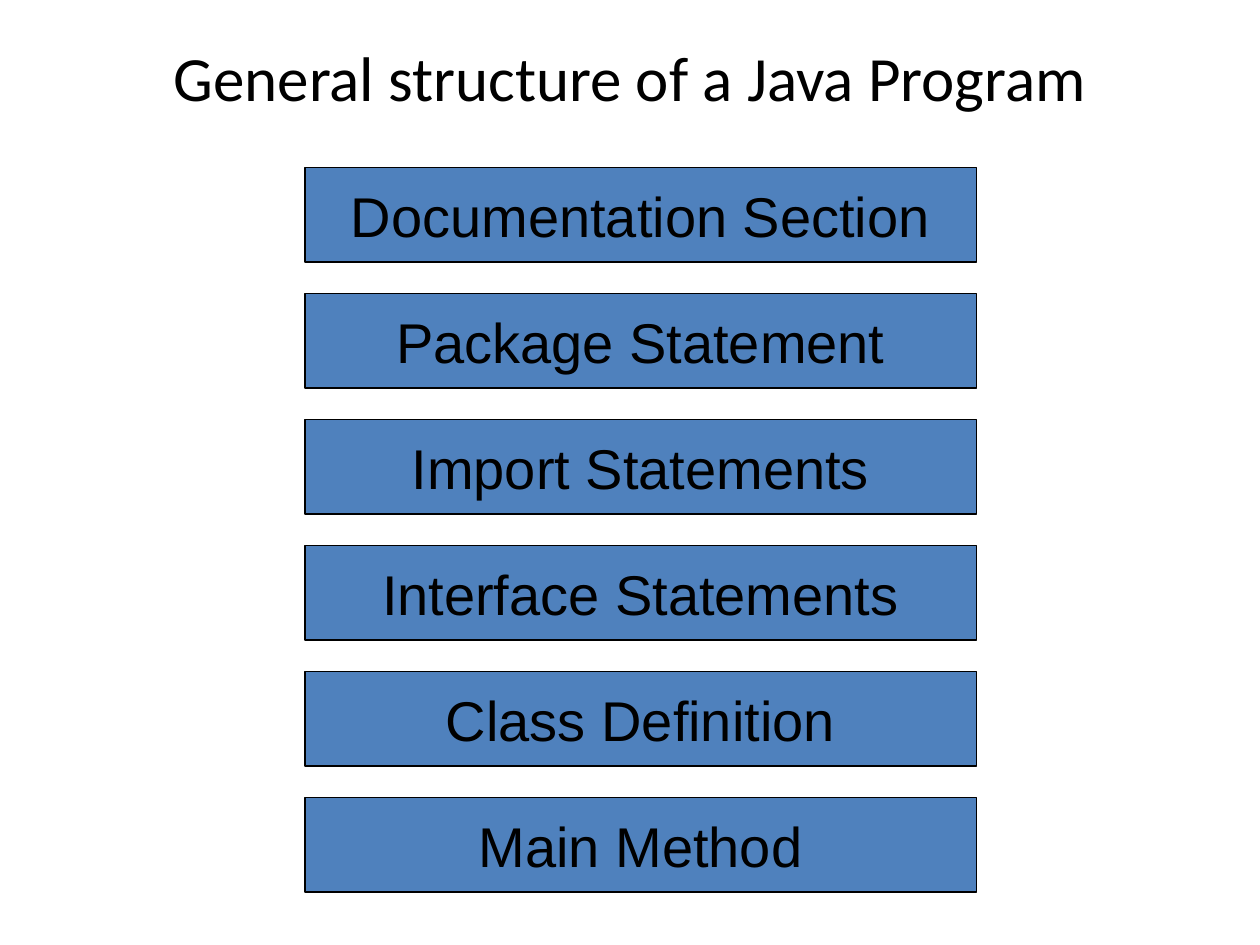
from dataclasses import dataclass

from pptx import Presentation
from pptx.dml.color import RGBColor
from pptx.enum.shapes import MSO_SHAPE
from pptx.enum.text import MSO_ANCHOR, PP_ALIGN
from pptx.slide import Slide
from pptx.text.text import TextFrame
from pptx.util import Inches, Pt


@dataclass(frozen=True)
class Theme:
    text: RGBColor = RGBColor(0x00, 0x00, 0x00)
    box_fill: RGBColor = RGBColor(0x4F, 0x81, 0xBD)
    box_line: RGBColor = RGBColor(0x00, 0x00, 0x00)
    line_width: float = 0.75
    title_font: str = "Calibri"
    title_size: int = 36
    box_font: str = "Arial"
    box_size: int = 32


@dataclass(frozen=True)
class Section:
    label: str
    top: float


THEME = Theme()
BOX_LEFT, BOX_WIDTH, BOX_HEIGHT = 2.42, 5.33, 0.75
FIRST_TOP, PITCH = 1.33, 1.0
LABELS = (
    "Documentation Section",
    "Package Statement",
    "Import Statements",
    "Interface Statements",
    "Class Definition",
    "Main Method",
)


def set_centred_text(text_frame: TextFrame, text: str, font_name: str, size: int) -> None:
    text_frame.text = text
    text_frame.vertical_anchor = MSO_ANCHOR.MIDDLE
    paragraph = text_frame.paragraphs[0]
    paragraph.alignment = PP_ALIGN.CENTER
    font = paragraph.runs[0].font
    font.name = font_name
    font.size = Pt(size)
    font.color.rgb = THEME.text


def add_title(slide: Slide, text: str) -> None:
    title = slide.shapes.title
    title.left, title.top = Inches(0.25), Inches(0.33)
    title.width, title.height = Inches(9.5), Inches(0.55)
    set_centred_text(title.text_frame, text, THEME.title_font, THEME.title_size)


def add_section(slide: Slide, section: Section) -> None:
    shape = slide.shapes.add_shape(
        MSO_SHAPE.RECTANGLE,
        Inches(BOX_LEFT), Inches(section.top), Inches(BOX_WIDTH), Inches(BOX_HEIGHT),
    )
    shape.shadow.inherit = False
    shape.fill.solid()
    shape.fill.fore_color.rgb = THEME.box_fill
    shape.line.color.rgb = THEME.box_line
    shape.line.width = Pt(THEME.line_width)
    shape.text_frame.word_wrap = False
    set_centred_text(shape.text_frame, section.label, THEME.box_font, THEME.box_size)


def main() -> None:
    presentation = Presentation()
    presentation.slide_width, presentation.slide_height = Inches(10), Inches(7.5)

    # Title-only layout
    slide = presentation.slides.add_slide(presentation.slide_layouts[5])
    add_title(slide, "General structure of a Java Program")

    # Program sections, from top to bottom
    for index, label in enumerate(LABELS):
        add_section(slide, Section(label, FIRST_TOP + index * PITCH))

    presentation.save("out.pptx")


if __name__ == "__main__":
    main()
